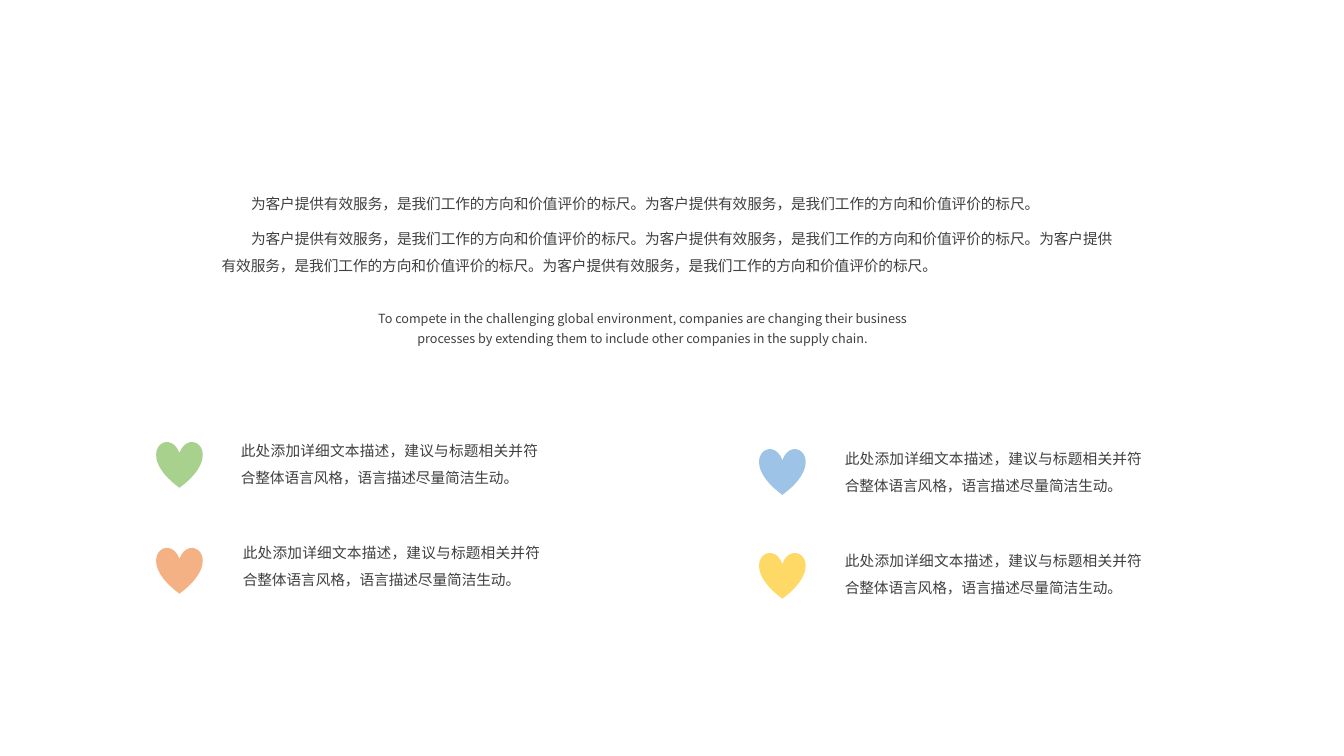
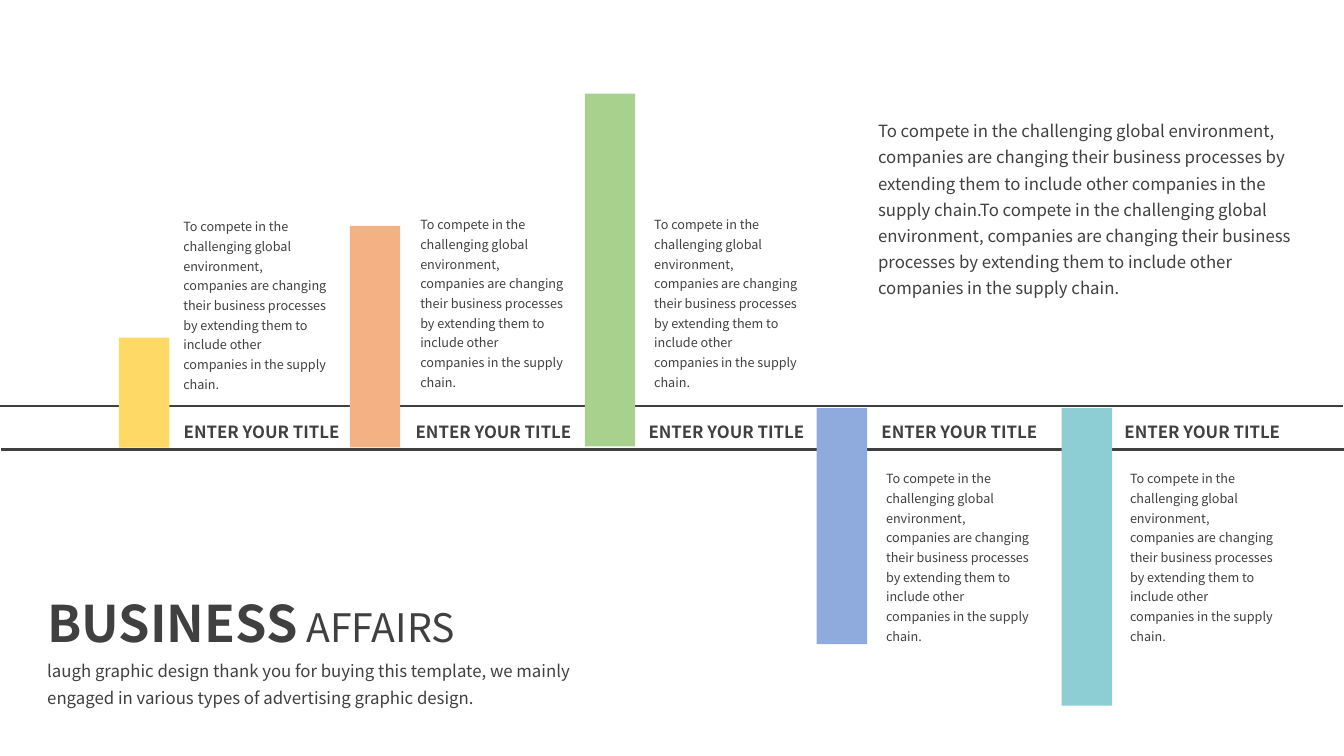
from lxml.etree import SubElement
from pptx import Presentation
from pptx.dml.color import RGBColor
from pptx.enum.shapes import MSO_CONNECTOR, MSO_SHAPE
from pptx.enum.text import MSO_ANCHOR, MSO_AUTO_SIZE, PP_ALIGN
from pptx.oxml.ns import qn
from pptx.util import Inches, Pt

FONT = "Noto Sans CJK SC"
INK = RGBColor(0x40, 0x40, 0x40)
YELLOW = RGBColor(0xFF, 0xD9, 0x66)
ORANGE = RGBColor(0xF4, 0xB1, 0x83)
GREEN = RGBColor(0xA9, 0xD1, 0x8E)
SKY = RGBColor(0x9D, 0xC3, 0xE6)
BLUE = RGBColor(0x8F, 0xAA, 0xDC)
TEAL = RGBColor(0x8D, 0xCD, 0xD4)

SERVICE = "为客户提供有效服务，是我们工作的方向和价值评价的标尺。"
DETAIL = "此处添加详细文本描述，建议与标题相关并符合整体语言风格，语言描述尽量简洁生动。"
COMPETE = ("To compete in the challenging global environment, companies are "
           "changing their business processes by extending them to include "
           "other companies in the supply chain.")
TAGLINE = ("laugh graphic design thank you for buying this template, we mainly "
           "engaged in various types of advertising graphic design.")
BAR_TITLE = "ENTER YOUR TITLE"

# heart left, heart top, text left, text top, colour
HEARTS = [
    (1.55, 4.38, 2.29, 4.25, GREEN),
    (1.55, 5.43, 2.31, 5.26, ORANGE),
    (7.53, 4.45, 8.28, 4.33, SKY),
    (7.53, 5.48, 8.28, 5.34, YELLOW),
]
# bar left, top, height, title left, text left, text top, colour
BARS = [
    (1.18, 3.35, 1.09, 1.7, 1.72, 2.08, YELLOW),
    (3.47, 2.24, 2.2, 4, 4.07, 2.06, ORANGE),
    (5.8, 0.93, 3.5, 6.31, 6.39, 2.06, GREEN),
    (8.1, 4.05, 2.34, 8.62, 8.69, 4.58, BLUE),
    (10.53, 4.05, 2.95, 11.03, 11.11, 4.58, TEAL),
]
RULES = [(0.01, 4.46), (-0.01, 4.03)]


def add_run(p, text, size, bold=False):
    r = p.add_run()
    r.text = text
    r.font.size = Pt(size)
    r.font.bold = bold
    r.font.color.rgb = INK
    r.font.name = FONT
    SubElement(r._r.get_or_add_rPr(), qn("a:ea")).set("typeface", FONT)


def set_frame(tf, wrap=True):
    tf.word_wrap = wrap
    tf.auto_size = MSO_AUTO_SIZE.SHAPE_TO_FIT_TEXT
    tf.vertical_anchor = MSO_ANCHOR.TOP


def add_text(s, box, paragraphs, size, spacing=1.3, align=PP_ALIGN.LEFT,
             bold=False, after=0, indent=0, wrap=True):
    tf = s.shapes.add_textbox(*map(Inches, box)).text_frame
    set_frame(tf, wrap)
    for i, text in enumerate(paragraphs):
        p = tf.add_paragraph() if i else tf.paragraphs[0]
        p.alignment = align
        p.line_spacing = spacing
        p.space_after = Pt(after)
        if indent:
            p._p.get_or_add_pPr().set("indent", str(Pt(indent)))
        add_run(p, text, size, bold)


def add_shape(s, kind, box, color):
    sp = s.shapes.add_shape(kind, *map(Inches, box))
    sp.shadow.inherit = False
    sp.fill.solid()
    sp.fill.fore_color.rgb = color
    sp.line.fill.background()


def add_rule(s, x, y):
    line = s.shapes.add_connector(
        MSO_CONNECTOR.STRAIGHT,
        Inches(x), Inches(y), Inches(x + 13.33), Inches(y))
    line.line.color.rgb = INK
    line.line.width = Pt(1.75)
    SubElement(line._element.spPr, qn("a:effectLst"))


def build_hearts(prs):
    s = prs.slides.add_slide(prs.slide_layouts[6])
    for x, y, text_x, text_y, color in HEARTS:
        add_shape(s, MSO_SHAPE.HEART, (x, y, 0.46, 0.46), color)
        add_text(s, (text_x, text_y, 3.15, 0.63), [DETAIL], 10.5,
                 spacing=1.5, align=PP_ALIGN.JUSTIFY)
    add_text(s, (2.1, 1.8, 9.13, 0.98), [SERVICE * 2, SERVICE * 4], 10.5,
             spacing=1.5, after=6, indent=21)
    add_text(s, (3.51, 2.99, 5.72, 0.49), [COMPETE], 9,
             align=PP_ALIGN.CENTER)


def build_timeline(prs):
    s = prs.slides.add_slide(prs.slide_layouts[5])
    title = s.shapes.title
    title.left, title.top, title.width, title.height = map(
        Inches, (0.37, 5.64, 4.94, 0.89))
    set_frame(title.text_frame)
    p = title.text_frame.paragraphs[0]
    p.alignment = PP_ALIGN.LEFT
    p.line_spacing = 1.3
    add_run(p, "BUSINESS", 36, bold=True)
    add_run(p, " AFFAIRS", 28)

    for x, y in RULES:
        add_rule(s, x, y)
    for x, y, height, title_x, text_x, text_y, color in BARS:
        add_shape(s, MSO_SHAPE.RECTANGLE, (x, y, 0.5, height), color)
        add_text(s, (title_x, 4.03, 1.79, 0.4), [BAR_TITLE], 12, spacing=1.5,
                 align=PP_ALIGN.CENTER, bold=True, after=6, wrap=False)
        add_text(s, (text_x, text_y, 1.63, 1.87), [COMPETE], 9)
    add_text(s, (0.37, 6.45, 5.89, 0.62), [TAGLINE], 12)
    add_text(s, (8.61, 1.09, 4.32, 1.94), [COMPETE * 2], 12)


def main():
    prs = Presentation()
    prs.slide_width, prs.slide_height = Inches(13.33), Inches(7.5)
    build_hearts(prs)
    build_timeline(prs)
    prs.save("out.pptx")


if __name__ == "__main__":
    main()
